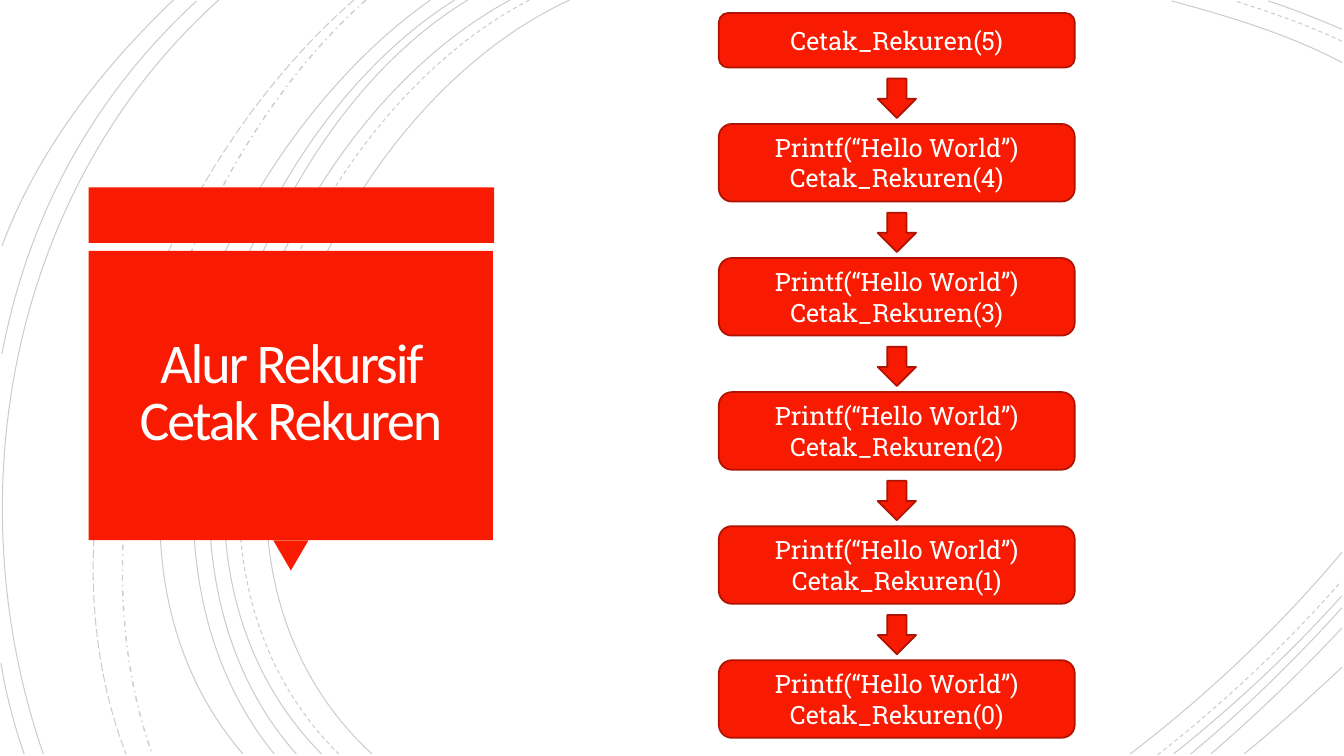
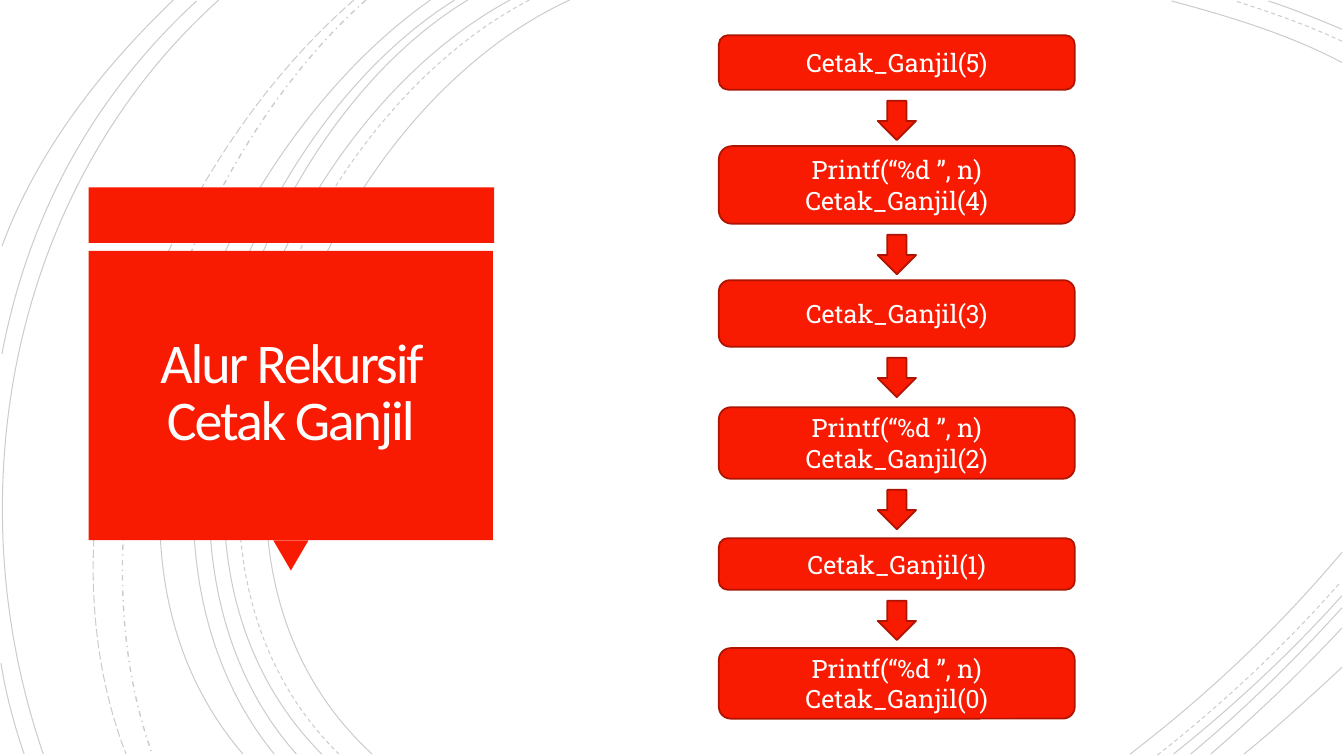
from dataclasses import dataclass

from lxml.etree import SubElement
from pptx import Presentation
from pptx.dml.color import RGBColor
from pptx.enum.dml import MSO_LINE as Dash
from pptx.enum.shapes import MSO_SHAPE as Preset
from pptx.enum.text import MSO_ANCHOR as Anchor, MSO_AUTO_SIZE as AutoSize, PP_ALIGN as Align
from pptx.oxml.ns import qn
from pptx.util import Inches, Pt


@dataclass(frozen=True)
class Theme:
    red: RGBColor = RGBColor(0xF8, 0x1B, 0x02)
    dark_red: RGBColor = RGBColor(0xAF, 0x13, 0x01)
    white: RGBColor = RGBColor(0xFF, 0xFF, 0xFF)
    title_white: RGBColor = RGBColor(0xFF, 0xFE, 0xFF)
    arc: RGBColor = RGBColor(0, 0, 0)
    arc_opacity: str = "20000"
    title_font: str = "Calibri"
    flow_font: str = "Roboto Slab"
    title_size: Pt = Pt(40)
    flow_size: Pt = Pt(18)
    outline: Pt = Pt(1.25)


# Backdrop arcs by line style: start, two control points, end
ARCS = {
    (Dash.SOLID, 0.75): [
        ((5.65, 0), (3.15, 1.15), (1.43, 5.4), (3.69, 7.48)),
        ((13.31, 0.62), (12.78, 0.34), (12.18, 0.16), (11.62, 0.01)),
        ((11.21, 7.48), (11.97, 6.9), (12.69, 6.22), (13.31, 5.48)),
        ((5.06, 0), (2.7, 1.27), (1.1, 5.37), (3.19, 7.48)),
        ((13.31, 0.29), (13.07, 0.19), (12.83, 0.09), (12.58, 0.01)),
        ((11.64, 7.48), (12.23, 7.01), (12.8, 6.48), (13.31, 5.91)),
        ((4.64, 0), (2.44, 1.33), (1.1, 5.41), (2.94, 7.48)),
        ((11.81, 7.48), (12.34, 7.04), (12.84, 6.55), (13.31, 6.03)),
        ((4.51, 0), (2.31, 1.38), (0.97, 5.33), (2.72, 7.48)),
        ((12.01, 7.48), (12.46, 7.09), (12.9, 6.67), (13.31, 6.23)),
        ((4.27, 0), (2.17, 1.47), (0.53, 5.29), (2.41, 7.48)),
        ((12.34, 7.48), (12.67, 7.21), (12.99, 6.92), (13.31, 6.62)),
        ((2.17, 0), (0.11, 1.85), (-0.46, 4.9), (0.43, 7.48)),
        ((1.95, 0.01), (0.92, 0.96), (0.28, 2.14), (0.02, 3.51)),
        ((0.01, 6.58), (0.06, 6.89), (0.14, 7.19), (0.24, 7.48)),
        ((1.72, 0), (1, 0.69), (0.37, 1.5), (0.02, 2.44)),
    ],
    (Dash.DASH, 0.75): [
        ((5.25, 0), (2.85, 1.25), (1.23, 5.37), (3.36, 7.48)),
        ((13.31, 0.41), (12.97, 0.25), (12.6, 0.12), (12.25, 0.01)),
        ((11.48, 7.49), (12.13, 6.98), (12.75, 6.4), (13.3, 5.77)),
    ],
    (Dash.DASH_DOT, 1): [((3.63, 0), (1.76, 1.66), (0.65, 5.09), (1.51, 7.48))],
    (Dash.LONG_DASH, 0.75): [((3.51, 0), (1.57, 1.69), (0.29, 4.99), (1.25, 7.48))],
}

# Flow column
BOX_LEFT, BOX_WIDTH = 7.13, 3.53
ARROW_WIDTH, ARROW_HEIGHT, ARROW_GAP = 0.38, 0.39, 0.11


class Deck:
    def __init__(self, theme):
        self.theme = theme
        self.presentation = Presentation()
        self.presentation.slide_width = Inches(13.33)
        self.presentation.slide_height = Inches(7.5)
        self.layout = self.presentation.slide_layouts[5]
        self.slide = None

    def new_slide(self, title):
        first = self.slide is None
        self.slide = self.presentation.slides.add_slide(self.layout)
        if first:
            self.build_layout()
        self.title(title)

    # Shared backdrop and title card, moved to the layout
    def build_layout(self):
        groups = [self.arcs(), self.title_card()]
        tree = self.layout.element.cSld.spTree
        for index, group in enumerate(groups, 2):
            tree.insert(index, group.element)
        for number, properties in enumerate(tree.iter(qn("p:cNvPr")), 1):
            properties.set("id", str(number))

    def arcs(self):
        group = self.slide.shapes.add_group_shape()
        for (dash, width), curves in ARCS.items():
            for curve in curves:
                self.arc(group, curve, dash, width)
        return group

    def arc(self, group, curve, dash, width):
        start, *others = [(Inches(x), Inches(y)) for x, y in curve]
        builder = group.shapes.build_freeform(*start)
        builder.add_line_segments(others, close=False)
        shape = builder.convert_to_shape()
        shape.shadow.inherit = False
        shape.fill.background()
        shape.line.color.rgb = self.theme.arc
        shape.line.width = Pt(width)
        shape.line.dash_style = dash
        color = next(shape.element.iter(qn("a:srgbClr")))
        SubElement(color, qn("a:alpha")).set("val", self.theme.arc_opacity)
        # Join the three segments into one Bezier curve
        outline = next(shape.element.iter(qn("a:path")))
        segments = outline.findall(qn("a:lnTo"))
        bezier = SubElement(outline, qn("a:cubicBezTo"))
        for segment in segments:
            bezier.append(segment[0])
            outline.remove(segment)

    def title_card(self):
        group = self.slide.shapes.add_group_shape()
        self.shape(group.shapes, Preset.RECTANGLE, 0.88, 1.86, 4.02, 0.55)
        pointer = self.shape(group.shapes, Preset.ISOSCELES_TRIANGLE, 2.71, 5.36, 0.35, 0.3)
        pointer.rotation = 180
        self.shape(group.shapes, Preset.RECTANGLE, 0.88, 2.49, 4.01, 2.87)
        return group

    # Basic elements
    def shape(self, shapes, preset, left, top, width, height, outlined=False):
        shape = shapes.add_shape(
            preset, Inches(left), Inches(top), Inches(width), Inches(height))
        shape.shadow.inherit = False
        shape.fill.solid()
        shape.fill.fore_color.rgb = self.theme.red
        if outlined:
            shape.line.color.rgb = self.theme.dark_red
            shape.line.width = self.theme.outline
        else:
            shape.line.fill.background()
        return shape

    def add_text(self, paragraph, text, font, size, color):
        paragraph.alignment = Align.CENTER
        run = paragraph.add_run()
        run.text = text
        run.font.name = font
        run.font.size = size
        run.font.color.rgb = color

    def title(self, text):
        shape = self.slide.shapes.title
        shape.left, shape.top = Inches(0.97), Inches(2.57)
        shape.width, shape.height = Inches(3.83), Inches(2.69)
        frame = shape.text_frame
        frame.word_wrap = True
        frame.auto_size = AutoSize.NONE
        frame.vertical_anchor = Anchor.MIDDLE
        frame.margin_left = frame.margin_right = Inches(0.25)
        frame.margin_top = frame.margin_bottom = Inches(0.25)
        paragraph = frame.paragraphs[0]
        paragraph.line_spacing = 0.85
        theme = self.theme
        self.add_text(paragraph, text, theme.title_font, theme.title_size, theme.title_white)
        next(shape.element.iter(qn("a:rPr"))).set("spc", "-150")

    # Recursion flow
    def box(self, top, height, lines):
        shape = self.shape(self.slide.shapes, Preset.ROUNDED_RECTANGLE,
                           BOX_LEFT, top, BOX_WIDTH, height, outlined=True)
        frame = shape.text_frame
        frame.word_wrap = True
        frame.vertical_anchor = Anchor.MIDDLE
        theme = self.theme
        for index, line in enumerate(lines):
            paragraph = frame.add_paragraph() if index else frame.paragraphs[0]
            self.add_text(paragraph, line, theme.flow_font, theme.flow_size, theme.white)

    def arrow(self, top):
        left = BOX_LEFT + (BOX_WIDTH - ARROW_WIDTH) / 2
        self.shape(self.slide.shapes, Preset.DOWN_ARROW,
                   left, top, ARROW_WIDTH, ARROW_HEIGHT, outlined=True)

    def flow(self, function, output, boxes, printing):
        last = len(boxes) - 1
        for index, (top, height) in enumerate(boxes):
            argument = last - index
            call = f"{function}({argument})"
            self.box(top, height, [output, call] if argument in printing else [call])
            if argument:
                self.arrow(top + height + ARROW_GAP)


deck = Deck(Theme())

# Slide 1: every call after the first prints
deck.new_slide("Alur Rekursif Cetak Rekuren")
deck.flow("Cetak_Rekuren", "Printf(“Hello World”)",
          [(0.13, 0.54)] + [(1.23 + 1.33 * step, 0.77) for step in range(5)],
          printing=range(5))

# Slide 2: every other call prints
deck.new_slide("Alur Rekursif Cetak Ganjil")
deck.flow("Cetak_Ganjil", "Printf(“%d ”, n)",
          [(0.35, 0.54), (1.45, 0.77), (2.78, 0.66),
           (4.04, 0.71), (5.34, 0.51), (6.43, 0.7)],
          printing=(4, 2, 0))

deck.presentation.save("out.pptx")
